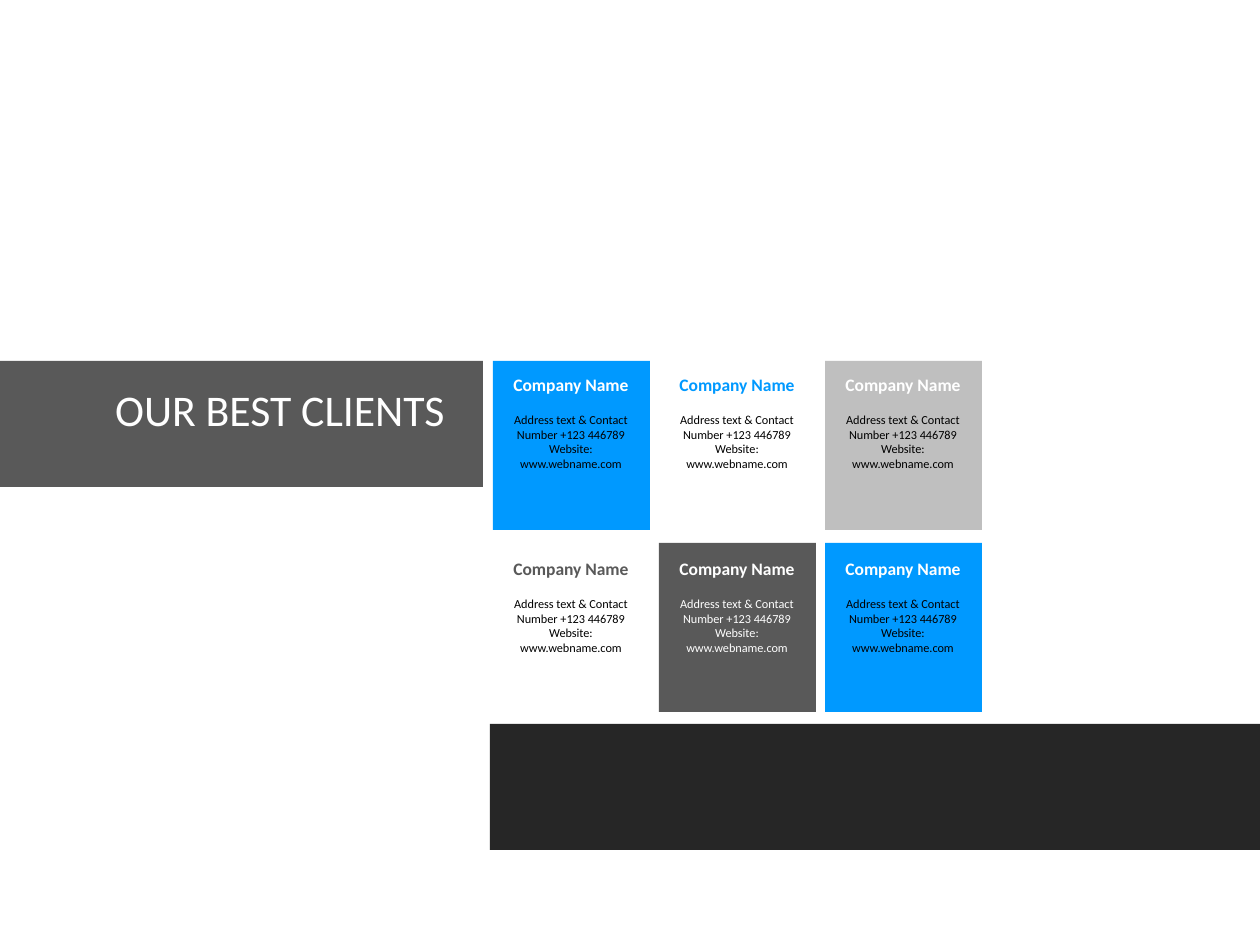
from dataclasses import dataclass

from pptx import Presentation
from pptx.dml.color import RGBColor
from pptx.enum.shapes import MSO_SHAPE
from pptx.enum.text import MSO_AUTO_SIZE, PP_ALIGN
from pptx.slide import Slide
from pptx.util import Emu, Pt

EMU_PER_PX = 914400 // 126


@dataclass(frozen=True)
class Theme:
    font: str = "Calibri"
    white: str = "FFFFFF"
    black: str = "000000"
    charcoal: str = "262626"
    slate: str = "595959"
    silver: str = "BFBFBF"
    blue: str = "0099FF"
    title_size: int = 25
    name_size: int = 10
    detail_size: int = 7
    detail_gap: float = 9.8


THEME = Theme()


@dataclass(frozen=True)
class Box:
    left: int
    top: int
    width: int
    height: int

    def emu(self) -> list[Emu]:
        return [Emu(px * EMU_PER_PX)
                for px in (self.left, self.top, self.width, self.height)]


@dataclass(frozen=True)
class Line:
    text: str
    size: int
    color: str
    bold: bool = False
    space_before: float = 0


@dataclass(frozen=True)
class ClientCard:
    column: int
    row: int
    fill: str
    name_color: str
    detail_color: str = THEME.black


COLUMN_LEFT, COLUMN_STEP = 493, 166
CARD_TOP, CARD_STEP = 361, 182
TEXT_TOP, TEXT_STEP = 368, 184
TEXT_INSET = 2

CARDS = [
    ClientCard(0, 0, THEME.blue, THEME.white),
    ClientCard(1, 0, THEME.white, THEME.blue),
    ClientCard(2, 0, THEME.silver, THEME.white),
    ClientCard(0, 1, THEME.white, THEME.slate),
    ClientCard(1, 1, THEME.slate, THEME.white, THEME.white),
    ClientCard(2, 1, THEME.blue, THEME.white),
]


def add_block(page: Slide, box: Box, fill: str) -> None:
    """Draw a borderless filled rectangle."""
    block = page.shapes.add_shape(MSO_SHAPE.RECTANGLE, *box.emu())
    block.shadow.inherit = False
    block.fill.solid()
    block.fill.fore_color.rgb = RGBColor.from_string(fill)
    block.line.fill.background()


def add_text(page: Slide, box: Box, lines: list[Line], align: PP_ALIGN) -> None:
    frame = page.shapes.add_textbox(*box.emu()).text_frame
    frame.word_wrap = True
    frame.auto_size = MSO_AUTO_SIZE.SHAPE_TO_FIT_TEXT
    for index, line in enumerate(lines):
        para = frame.add_paragraph() if index else frame.paragraphs[0]
        para.alignment = align
        if line.space_before:
            para.space_before = Pt(line.space_before)
        span = para.add_run()
        span.text = line.text
        font_format = {"name": THEME.font, "size": Pt(line.size), "bold": line.bold}
        for attribute, value in font_format.items():
            setattr(span.font, attribute, value)
        span.font.color.rgb = RGBColor.from_string(line.color)


def add_card(page: Slide, card: ClientCard) -> None:
    left = COLUMN_LEFT + card.column * COLUMN_STEP
    add_block(page, Box(left, CARD_TOP + card.row * CARD_STEP, 157, 169), card.fill)
    lines = [
        Line("Company Name", THEME.name_size, card.name_color, bold=True),
        Line("Address text & Contact Number +123 446789", THEME.detail_size,
             card.detail_color, space_before=THEME.detail_gap),
        Line("Website: www.webname.com", THEME.detail_size, card.detail_color),
    ]
    text_box = Box(left + TEXT_INSET, TEXT_TOP + card.row * TEXT_STEP, 152, 110)
    add_text(page, text_box, lines, PP_ALIGN.CENTER)


def main() -> None:
    deck = Presentation()
    deck.slide_width, deck.slide_height = Box(0, 0, 1260, 945).emu()[2:]
    page = deck.slides.add_slide(deck.slide_layouts[6])
    add_block(page, Box(0, 361, 483, 126), THEME.slate)
    add_text(page, Box(69, 377, 388, 66),
             [Line("OUR BEST CLIENTS", THEME.title_size, THEME.white)], PP_ALIGN.RIGHT)
    add_block(page, Box(490, 724, 770, 126), THEME.charcoal)
    for card in CARDS:
        add_card(page, card)
    deck.save("out.pptx")


if __name__ == "__main__":
    main()
